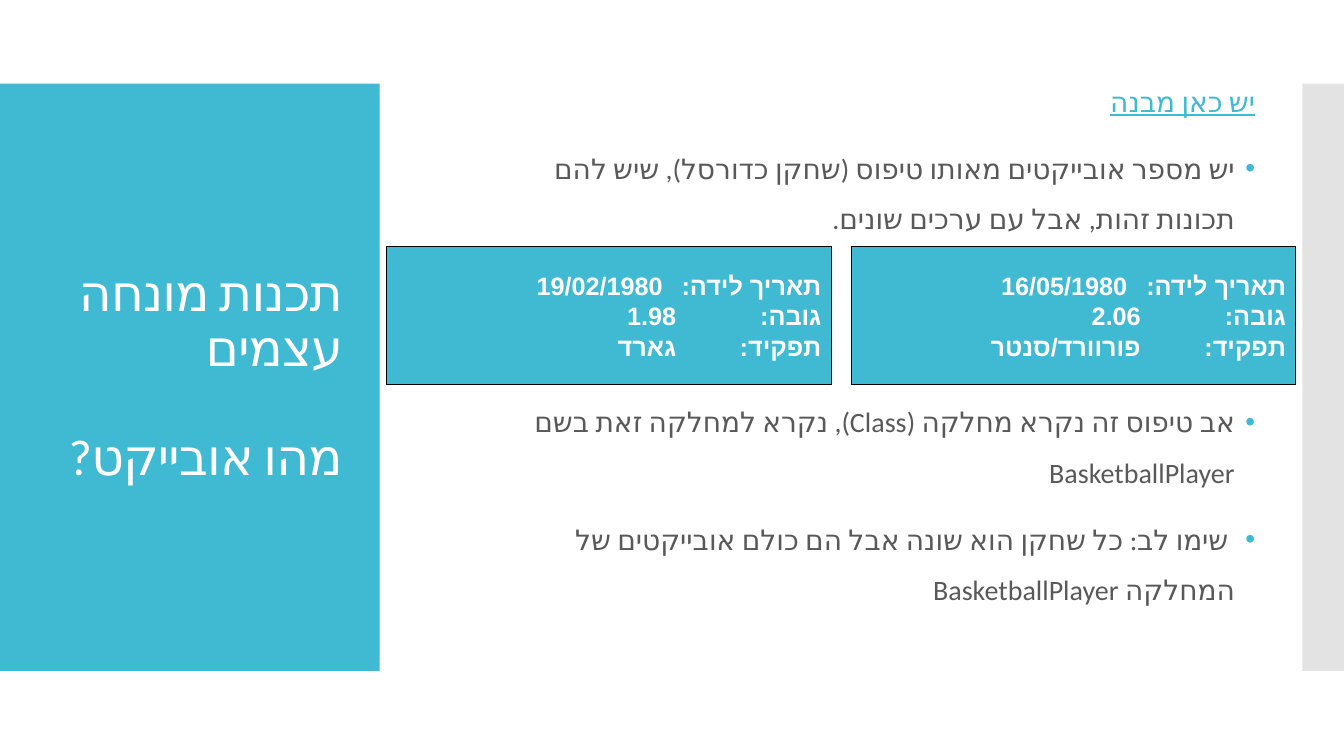
from dataclasses import dataclass

from lxml import etree
from pptx import Presentation, util as u
from pptx.dml.color import RGBColor
from pptx.enum import lang, shapes, text
from pptx.oxml import ns


@dataclass(frozen=True)
class Theme:
    accent: str = "40BAD2"
    edge: str = "C8C8C8"
    ink: str = "595959"
    white: str = "FFFFFF"
    black: str = "000000"
    main_font: str = "Calibri"
    card_font: str = "Arial"
    title_size: int = 36
    body_size: int = 20
    card_size: int = 18


def child(parent, tag, **attributes):
    return etree.SubElement(parent, ns.qn(tag), **attributes)


class HebrewSlide:
    def __init__(self, slide, theme):
        self.slide = slide
        self.theme = theme

    def panel(self, left, top, width, height, color, line=None, opacity=None):
        panel = self.slide.shapes.add_shape(
            shapes.MSO_SHAPE.RECTANGLE, u.Cm(left), u.Cm(top), u.Cm(width), u.Cm(height))
        panel.shadow.inherit = False
        panel.fill.solid()
        panel.fill.fore_color.rgb = RGBColor.from_string(color)
        if opacity:
            fill_color = panel.fill._xPr.find(ns.qn("a:solidFill"))[0]
            child(fill_color, "a:alpha", val=str(opacity * 1000))
        if line:
            panel.line.color.rgb = RGBColor.from_string(line)
            panel.line.width = u.Pt(0.75)
        else:
            panel.line.fill.background()
        return panel

    def text_area(self, left, top, width, height, anchor):
        area = self.slide.shapes.add_textbox(u.Cm(left), u.Cm(top), u.Cm(width), u.Cm(height))
        area.text_frame.word_wrap = True
        area.text_frame.vertical_anchor = anchor
        return area.text_frame

    def paragraph(self, frame, words, font, size, color, bold=None, underline=None,
                  spacing=1.0, before=0, bullet=False, tab=None, tracking=None):
        first = frame.paragraphs[0]
        line = frame.add_paragraph() if first.runs else first
        props = line._p.get_or_add_pPr()
        props.set("rtl", "1")
        if bullet:
            indent = u.Cm(0.51)
            props.set("marR", str(indent))
            props.set("marL", str(indent))
            props.set("indent", str(-indent))
            child(child(props, "a:buClr"), "a:srgbClr", val=self.theme.accent)
            child(props, "a:buFont", typeface="Arial")
            child(props, "a:buChar", char="•")
        if tab:
            child(child(props, "a:tabLst"), "a:tab", pos=str(u.Cm(tab)), algn="r")
        line.alignment = text.PP_ALIGN.RIGHT
        line.line_spacing = spacing
        line.space_before = u.Pt(before)

        run = line.add_run()
        run.text = words
        run.font.name = font
        run.font.size = u.Pt(size)
        run.font.bold = bold
        run.font.underline = underline
        run.font.color.rgb = RGBColor.from_string(color)
        run.font.language_id = lang.MSO_LANGUAGE_ID.HEBREW
        run_props = run._r.get_or_add_rPr()
        child(run_props, "a:cs", typeface=font)
        if tracking:
            run_props.set("spc", str(tracking))

    def title(self, lines):
        t = self.theme
        frame = self.text_area(0.71, 3.12, 8.18, 12.78, text.MSO_ANCHOR.MIDDLE)
        for number, words in enumerate(lines):
            self.paragraph(frame, words, t.main_font, t.title_size, t.white,
                           spacing=0.9, before=39.5 * number, tracking=-60)

    def body(self, heading, points):
        t = self.theme
        frame = self.text_area(11.56, 1.57, 20.32, 16.56, text.MSO_ANCHOR.TOP)
        self.paragraph(frame, heading, t.main_font, t.body_size, t.accent,
                       underline=True, spacing=1.5)
        for words, before in points:
            self.paragraph(frame, words, t.main_font, t.body_size, t.ink,
                           spacing=1.5, before=before, bullet=True)

    def player_card(self, left, facts):
        t = self.theme
        card = self.panel(left, 6.22, 11.2, 3.48, t.accent, line=t.black)
        frame = card.text_frame
        frame.word_wrap = True
        frame.vertical_anchor = text.MSO_ANCHOR.MIDDLE
        for label, value, tab in facts:
            self.paragraph(frame, f"{label}:\t{value}", t.card_font, t.card_size,
                           t.white, bold=True, tab=tab)


def main():
    deck = Presentation()
    deck.slide_width, deck.slide_height = u.Cm(33.87), u.Cm(19.05)
    theme = Theme()
    page = HebrewSlide(deck.slides.add_slide(deck.slide_layouts[6]), theme)

    # Side bands
    page.panel(0, 2.11, 9.57, 14.8, theme.accent)
    page.panel(32.82, 2.11, 1.05, 14.8, theme.edge, opacity=50)

    # Title and explanation, with room for the cards after the first point
    page.title(["תכנות מונחה עצמים", "מהו אובייקט?"])
    page.body("יש כאן מבנה", [
        ("יש מספר אובייקטים מאותו טיפוס (שחקן כדורסל), שיש להם תכונות זהות, "
         "אבל עם ערכים שונים.", 12),
        ("אב טיפוס זה נקרא מחלקה (Class), נקרא למחלקה זאת בשם BasketballPlayer", 109),
        (" שימו לב: כל שחקן הוא שונה אבל הם כולם אובייקטים של המחלקה BasketballPlayer", 12),
    ])

    # Player cards, from right to left
    labels = ["תאריך לידה", "גובה", "תפקיד"]
    value_tabs = [4.0, 3.66, 3.66]
    players = [
        ["16/05/1980", "2.06", "פורוורד/סנטר"],
        ["19/02/1980", "1.98", "גארד"],
    ]
    for position, values in enumerate(players):
        page.player_card(21.46 - 11.71 * position, zip(labels, values, value_tabs))

    deck.save("out.pptx")


if __name__ == "__main__":
    main()
